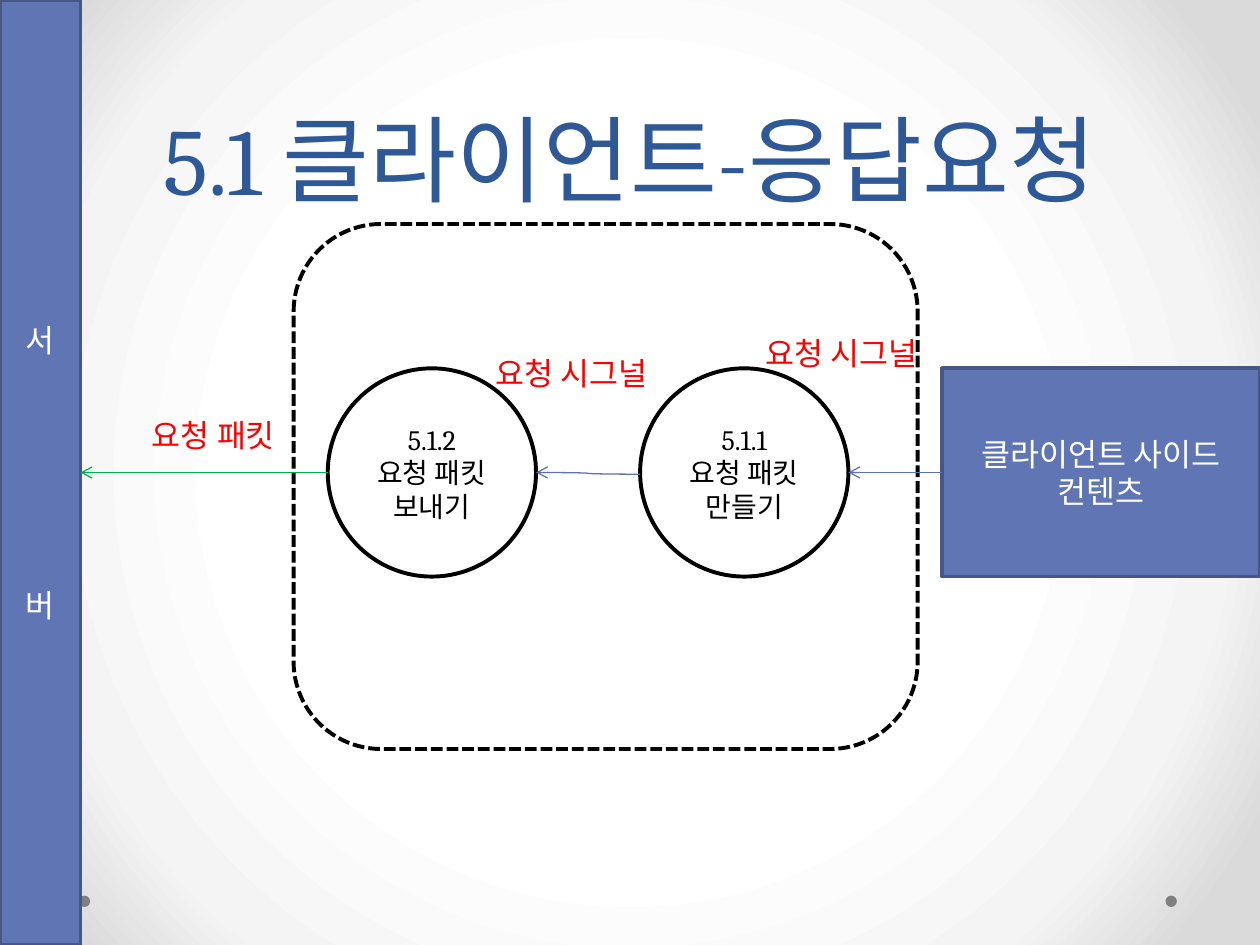
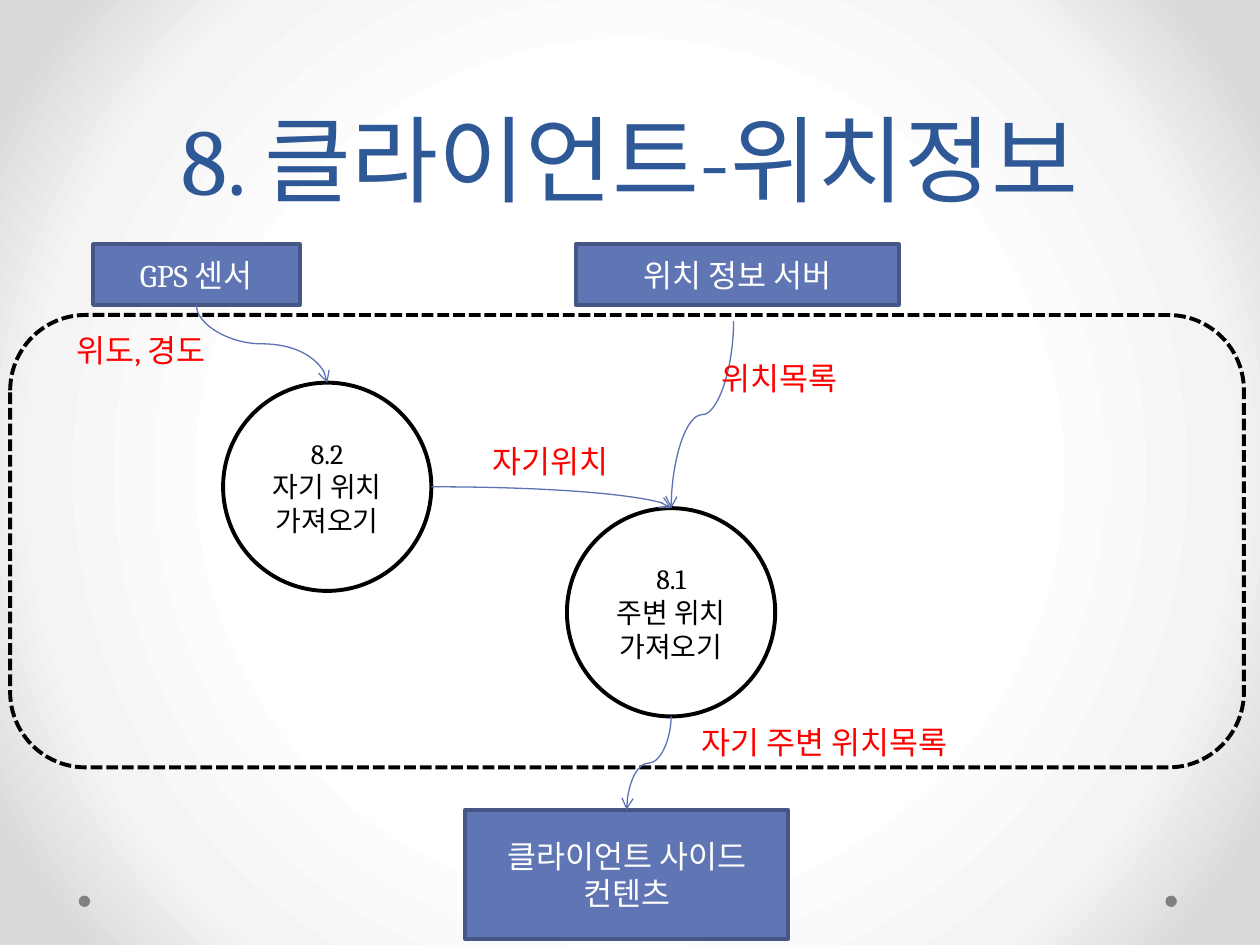
from dataclasses import dataclass

from pptx import Presentation
from pptx.dml.color import RGBColor
from pptx.enum.dml import MSO_LINE
from pptx.enum.shapes import MSO_CONNECTOR, MSO_SHAPE
from pptx.enum.text import MSO_ANCHOR, MSO_AUTO_SIZE, PP_ALIGN
from pptx.oxml import parse_xml
from pptx.oxml.ns import nsdecls, qn
from pptx.util import Pt

OVAL = MSO_SHAPE.OVAL
RECTANGLE = MSO_SHAPE.RECTANGLE
ROUNDED = MSO_SHAPE.ROUNDED_RECTANGLE
CURVE = MSO_CONNECTOR.CURVE
STRAIGHT = MSO_CONNECTOR.STRAIGHT
DASHED = MSO_LINE.SQUARE_DOT
MIDDLE = MSO_ANCHOR.MIDDLE
BOTTOM = MSO_ANCHOR.BOTTOM
CENTER = PP_ALIGN.CENTER
LEFT = PP_ALIGN.LEFT
FIXED_SIZE = MSO_AUTO_SIZE.NONE
GROW = MSO_AUTO_SIZE.SHAPE_TO_FIT_TEXT


@dataclass(frozen=True)
class Theme:
    font: str = "Cambria"
    title: str = "2F5897"
    block: str = "6076B4"
    block_edge: str = "475785"
    arrow: str = "5C72B2"
    packet_arrow: str = "00B050"
    label: str = "FF0000"
    ink: str = "000000"
    paper: str = "FFFFFF"
    dot: str = "808080"
    title_size: float = 54
    title_spacing: float = 58
    text_size: float = 18
    process_size: float = 16
    edge_width: float = 2.25
    arrow_width: float = 0.75
    glow: tuple = ((50, "FFFFFF"), (76, "F4F4F4"), (92, "DADADA"))


THEME = Theme()


@dataclass(frozen=True)
class Box:
    left: float
    top: float
    width: float
    height: float

    def inside(self, x, y, width, height):
        return Box(self.left + x, self.top + y, width, height)

    def at(self, x_share, y_share):
        return self.left + self.width * x_share, self.top + self.height * y_share

    def points(self):
        return [Pt(value) for value in (self.left, self.top, self.width, self.height)]


SLIDE = Box(0, 0, 720, 540)
PROCESS = 119
LABEL_HEIGHT = 28.8
TOP_MID, BOTTOM_MID, LEFT_MID, RIGHT_MID = (0.5, 0), (0.5, 1), (0, 0.5), (1, 0.5)


def apply(target, values):
    for name, value in values.items():
        setattr(target, name, value)


def color(code):
    return RGBColor.from_string(code)


def write(frame, lines, size, ink, align=CENTER, gap=0, **frame_format):
    apply(frame, {"word_wrap": True, **frame_format})
    for index, line in enumerate(lines):
        paragraph = frame.paragraphs[0] if index == 0 else frame.add_paragraph()
        apply(paragraph, {"alignment": align, "space_before": Pt(gap if index else 0)})
        run = paragraph.add_run()
        run.text = line
        apply(run.font, {"name": THEME.font, "size": Pt(size)})
        run.font.color.rgb = color(ink)


def add_figure(slide, kind, box, fill=None, edge=None):
    shape = slide.shapes.add_shape(kind, *box.points())
    shape.shadow.inherit = False
    if fill:
        shape.fill.solid()
        shape.fill.fore_color.rgb = color(fill)
    else:
        shape.fill.background()
    if edge:
        shape.line.color.rgb = color(edge)
        shape.line.width = Pt(THEME.edge_width)
    else:
        shape.line.fill.background()
    return shape


def add_block(slide, box, *lines, gap=0):
    shape = add_figure(slide, RECTANGLE, box, THEME.block, THEME.block_edge)
    write(shape.text_frame, lines, THEME.text_size, THEME.paper, gap=gap,
          vertical_anchor=MIDDLE)


def add_process(slide, box, *lines):
    shape = add_figure(slide, OVAL, box, THEME.paper, THEME.ink)
    margins = {f"margin_{side}": Pt(3) for side in ("left", "top", "right", "bottom")}
    write(shape.text_frame, lines, THEME.process_size, THEME.ink,
          vertical_anchor=MIDDLE, **margins)


def add_boundary(slide, box):
    shape = add_figure(slide, ROUNDED, box, edge=THEME.ink)
    shape.line.dash_style = DASHED


def add_label(slide, box, text):
    shape = slide.shapes.add_textbox(*box.points())
    write(shape.text_frame, [text], THEME.text_size, THEME.label, LEFT, auto_size=GROW)


def add_arrow(slide, start, end, kind=CURVE, ink=THEME.arrow):
    connector = slide.shapes.add_connector(kind, *[Pt(value) for value in (*start, *end)])
    connector.line.color.rgb = color(ink)
    connector.line.width = Pt(THEME.arrow_width)
    connector.line._get_or_add_ln().append(
        parse_xml(f'<a:tailEnd {nsdecls("a")} type="arrow"/>'))
    connector._element.spPr.append(parse_xml(f'<a:effectLst {nsdecls("a")}/>'))
    return connector


def add_falling_arrow(slide, start, end):
    (x1, y1), (x2, y2) = start, end
    run, drop = abs(x2 - x1), y2 - y1
    left, top = (x1 + x2 - drop) / 2, (y1 + y2 - run) / 2
    connector = add_arrow(slide, (left, top), (left + drop, top + run))
    transform = connector._element.spPr.find(qn("a:xfrm"))
    transform.set("rot", str((270 if x2 > x1 else 90) * 60000))
    if x2 > x1:
        transform.set("flipH", "1")


def add_bending_arrow(slide, start, end):
    connector = add_arrow(slide, start, end)
    connector._element.spPr.find(qn("a:prstGeom")).set("prst", "curvedConnector2")


def set_background(master):
    fill = master.background.fill
    fill.solid()
    stops = "".join(f'<a:gs pos="{place * 1000}"><a:srgbClr val="{code}"/></a:gs>'
                    for place, code in THEME.glow)
    gradient = parse_xml(
        f'<a:gradFill {nsdecls("a")} rotWithShape="1"><a:gsLst>{stops}</a:gsLst>'
        '<a:path path="circle"><a:fillToRect l="50000" t="50000" r="50000" b="50000"/>'
        '</a:path></a:gradFill>')
    solid = next(master._element.iter(qn("p:bgPr"))).find(qn("a:solidFill"))
    solid.getparent().replace(solid, gradient)


def add_titled_slide(presentation, text, box):
    slide = presentation.slides.add_slide(presentation.slide_layouts[5])
    for x in (45, 666):
        add_figure(slide, OVAL, box.inside(x, 511.8, 6.5, 6.5), THEME.dot)
    title = slide.shapes.title
    place = box.inside(36, 0, 648, 126).points()
    apply(title, dict(zip(("left", "top", "width", "height"), place)))
    write(title.text_frame, [text], THEME.title_size, THEME.title,
          vertical_anchor=BOTTOM, auto_size=FIXED_SIZE)
    title.text_frame.paragraphs[0].line_spacing = Pt(THEME.title_spacing)
    return slide


def draw_request_flow(slide, box):
    server = box.inside(0, 0, 46, box.height)
    boundary = box.inside(167.8, 128, 356.6, 300)
    client = box.inside(538.5, 210.5, 181.5, PROCESS)
    send = boundary.inside(19.5, 82.5, PROCESS, PROCESS)
    make = boundary.inside(198, 82.5, PROCESS, PROCESS)

    add_boundary(slide, boundary)
    add_block(slide, server, "서", "버", gap=130)
    add_block(slide, client, "클라이언트 사이드", "컨텐츠")
    add_process(slide, send, "5.1.2", "요청 패킷 보내기")
    add_process(slide, make, "5.1.1", "요청 패킷 만들기")

    make_x, make_y = make.at(*LEFT_MID)
    add_arrow(slide, client.at(*LEFT_MID), make.at(*RIGHT_MID))
    add_arrow(slide, (make_x, make_y + 1), send.at(*RIGHT_MID))
    add_arrow(slide, send.at(*LEFT_MID), server.at(*RIGHT_MID), STRAIGHT, THEME.packet_arrow)

    for x, y, text in ((79.8, 234, "요청 패킷"),
                       (276.3, 198.7, "요청 시그널"),
                       (430.6, 187.2, "요청 시그널")):
        add_label(slide, box.inside(x, y, 119, LABEL_HEIGHT), text)


def draw_location_flow(slide, box):
    boundary = box.inside(5.8, 180, 705, 258.5)
    sensor = box.inside(53.2, 139.5, 118, 34.8)
    server = box.inside(329, 139.5, 184.5, 34.8)
    client = box.inside(265.8, 462.8, 184.5, 73.8)
    own = boundary.inside(121.7, 38.7, PROCESS, PROCESS)
    nearby = boundary.inside(318.2, 110.4, PROCESS, PROCESS)

    add_boundary(slide, boundary)
    add_block(slide, sensor, "GPS 센서")
    add_block(slide, server, "위치 정보 서버")
    add_block(slide, client, "클라이언트 사이드", "컨텐츠")
    add_process(slide, own, "8.2", "자기 위치", "가져오기")
    add_process(slide, nearby, "8.1", "주변 위치", "가져오기")

    add_falling_arrow(slide, sensor.at(*BOTTOM_MID), own.at(*TOP_MID))
    add_falling_arrow(slide, boundary.inside(413.4, 3.5, 0, 0).at(0, 0), nearby.at(*TOP_MID))
    add_falling_arrow(slide, nearby.at(*BOTTOM_MID), client.at(*TOP_MID))
    add_bending_arrow(slide, own.at(*RIGHT_MID), nearby.at(*TOP_MID))

    for x, y, text in ((36.8, 185.8, "위도, 경도"),
                       (405.4, 201.6, "위치목록"),
                       (274.2, 249.2, "자기위치"),
                       (393.8, 409.7, "자기 주변 위치목록")):
        add_label(slide, box.inside(x, y, 193, LABEL_HEIGHT), text)


def main():
    presentation = Presentation()
    apply(presentation, {"slide_width": Pt(SLIDE.width), "slide_height": Pt(SLIDE.height)})
    set_background(presentation.slide_master)
    for title, draw in (("5.1 클라이언트-응답요청", draw_request_flow),
                        ("8. 클라이언트-위치정보", draw_location_flow)):
        draw(add_titled_slide(presentation, title, SLIDE), SLIDE)
    presentation.save("out.pptx")


main()
